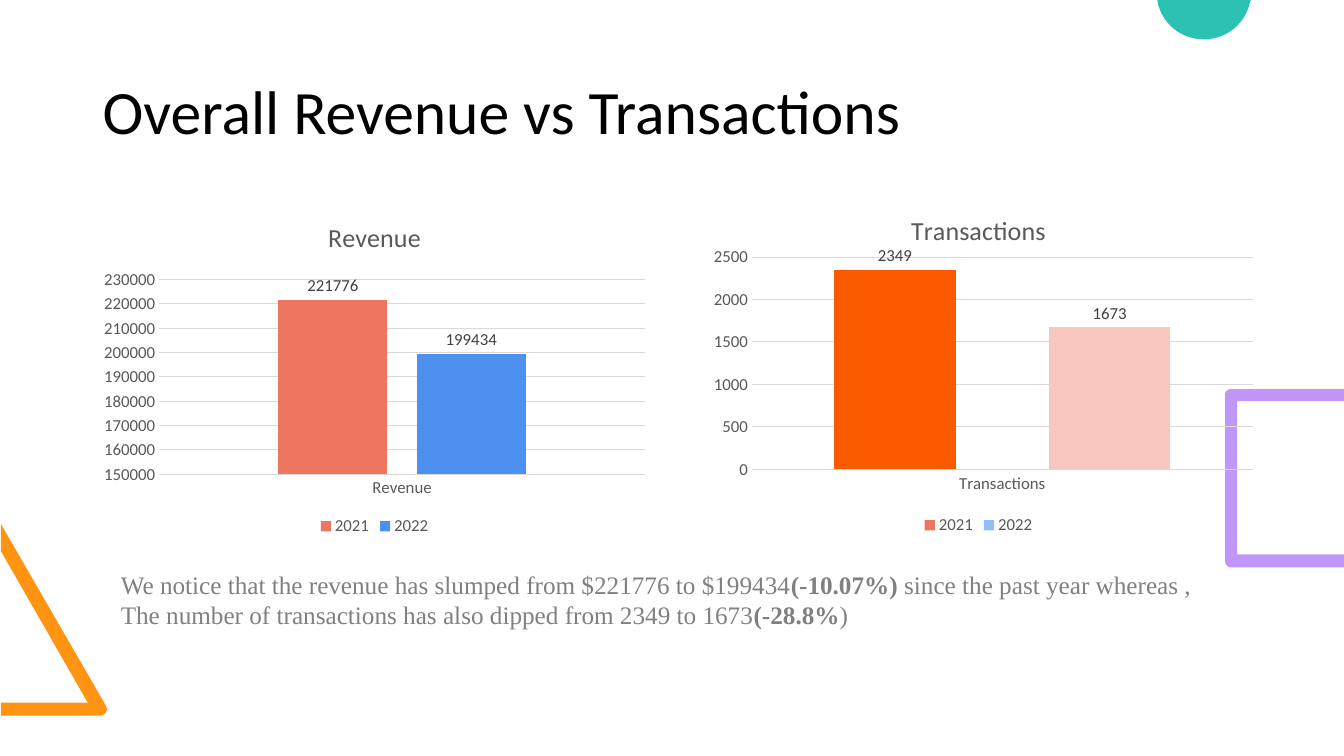
"""Build the slide comparing revenue and transactions for 2021 and 2022."""
from lxml import etree
from pptx import Presentation, util as u
from pptx.chart.data import CategoryChartData
from pptx.dml.color import RGBColor
from pptx.enum import chart as charts, text

presentation = Presentation()
presentation.slide_width, presentation.slide_height = u.Inches(13.33), u.Inches(7.5)
slide = presentation.slides.add_slide(presentation.slide_layouts[6])
COLUMNS = 1333
cell = presentation.slide_width // COLUMNS


def color(value):
    return RGBColor.from_string(value)


def style(font, size, hue, name="Calibri", bold=False):
    font.size, font.name, font.bold = u.Pt(size), name, bold
    font.color.rgb = color(hue)


# Each step is one line end (2 numbers) or one Bezier curve (6 numbers).
decorations = [
    ("FF9413", [(1, 710), (1, 697), (87, 697), (1, 547), (1, 520), (105, 700),
                (105, 701, 106, 702, 106, 703), (106, 707, 103, 710, 99, 710)]),
    ("2BC2B4", [(1148, 0), (1241, 0), (1240, 1), (1236, 23, 1217, 39, 1194, 39),
                (1171, 39, 1152, 23, 1148, 1)]),
    ("C097F8", [(1221, 563), (1333, 563), (1333, 550), (1227, 550), (1227, 398),
                (1333, 398), (1333, 386), (1221, 386),
                (1218, 386, 1215, 388, 1215, 392), (1215, 556),
                (1215, 560, 1218, 563, 1221, 563)]),
]
CURVE_STEPS = 16
for hue, steps in decorations:
    points = []
    for step in steps:
        if len(step) == 2:
            points.append(step)
            continue
        controls = [points[-1], step[:2], step[2:4], step[4:]]
        for index in range(1, CURVE_STEPS + 1):
            t = index / CURVE_STEPS
            weights = (1 - t) ** 3, 3 * t * (1 - t) ** 2, 3 * t * t * (1 - t), t ** 3
            points.append(tuple(sum(w * p[axis] for w, p in zip(weights, controls))
                                for axis in (0, 1)))
    outline = [(x * cell, y * cell) for x, y in points]
    builder = slide.shapes.build_freeform(*outline[0], scale=1.0)
    builder.add_line_segments(outline[1:], close=True)
    shape = builder.convert_to_shape()
    shape.shadow.inherit = False
    shape.fill.solid()
    shape.fill.fore_color.rgb = color(hue)
    shape.line.fill.background()

title = slide.shapes.add_textbox(92 * cell, 33 * cell, 1150 * cell, 161 * cell)
title.text_frame.word_wrap = True
title.text_frame.vertical_anchor = text.MSO_ANCHOR.MIDDLE
paragraph = title.text_frame.paragraphs[0]
paragraph.text = "Overall Revenue vs Transactions"
paragraph.line_spacing = 0.9
style(paragraph.runs[0].font, 44, "000000")

chart_rows = [
    ("Transactions", (683, 194, 575, 341), (2349, 1673), ("EE7660", "94BCF5"),
     ("FA5B00", "F8C8BF"), (0, 2500, 500), 136, -77,
     {"x": 0.109, "y": 0.179, "w": 0.864, "h": 0.618}),
    ("Revenue", (92, 201, 559, 335), (221776, 199434), ("EE7660", "4D90EF"),
     (), (150000, 230000, 10000), 219, -27, {}),
]
for name, box, values, hues, bar_hues, scale, gap, overlap, layout in chart_rows:
    data = CategoryChartData()
    data.categories = [name]
    for year, value in zip(("2021", "2022"), values):
        data.add_series(year, [value])
    chart = slide.shapes.add_chart(charts.XL_CHART_TYPE.COLUMN_CLUSTERED,
                                   *(length * cell for length in box), data).chart
    style(chart.font, 10, "000000")
    chart.has_title = True
    chart.chart_title.text_frame.text = name
    style(chart.chart_title.text_frame.paragraphs[0].runs[0].font, 18.6, "595959")
    chart.has_legend = True
    chart.legend.position = charts.XL_LEGEND_POSITION.BOTTOM
    chart.legend.include_in_layout = False
    style(chart.legend.font, 12, "595959")

    for axis in (chart.category_axis, chart.value_axis):
        axis.major_tick_mark = axis.minor_tick_mark = charts.XL_TICK_MARK.NONE
        style(axis.tick_labels.font, 12, "595959")
    axis.minimum_scale, axis.maximum_scale, axis.major_unit = scale
    axis.format.line.fill.background()
    for line in (chart.category_axis.format.line, axis.major_gridlines.format.line):
        line.color.rgb = color("D9D9D9")
        line.width = u.Pt(0.75)

    plot = chart.plots[0]
    plot.gap_width, plot.overlap, plot.vary_by_categories = gap, overlap, False
    for index, series in enumerate(plot.series):
        series.format.fill.solid()
        series.format.fill.fore_color.rgb = color(hues[index])
        if bar_hues:
            fill = series.points[0].format.fill
            fill.solid()
            fill.fore_color.rgb = color(bar_hues[index])
        labels = series.data_labels
        labels.show_value = True
        labels.position = charts.XL_LABEL_POSITION.OUTSIDE_END
        style(labels.font, 12, "404040")

    if layout:
        area = chart._chartSpace.chart.plotArea
        namespace = "{%s}" % area.nsmap["c"]
        for old in area.findall(namespace + "layout"):
            area.remove(old)
        holder = etree.Element(namespace + "layout")
        manual = etree.SubElement(holder, namespace + "manualLayout")
        settings = {"layoutTarget": "inner", "xMode": "edge", "yMode": "edge", **layout}
        for key, value in settings.items():
            etree.SubElement(manual, namespace + key).set("val", str(value))
        area.insert(0, holder)

notes = slide.shapes.add_textbox(110 * cell, 560 * cell, 1110 * cell, 101 * cell)
notes.text_frame.word_wrap = True
sentences = [
    ("We notice that the revenue has slumped from $221776 to $199434",
     "(-10.07%) ", "since the past year whereas ,"),
    ("The number of transactions has also dipped from 2349 to 1673", "(-28.8%", ")"),
]
notes.text_frame.text = "\n" * (len(sentences) - 1)
for paragraph, parts in zip(notes.text_frame.paragraphs, sentences):
    for index, part in enumerate(parts):
        run = paragraph.add_run()
        run.text = part
        style(run.font, 18, "808080", "Times New Roman", index == 1)

presentation.save("out.pptx")
